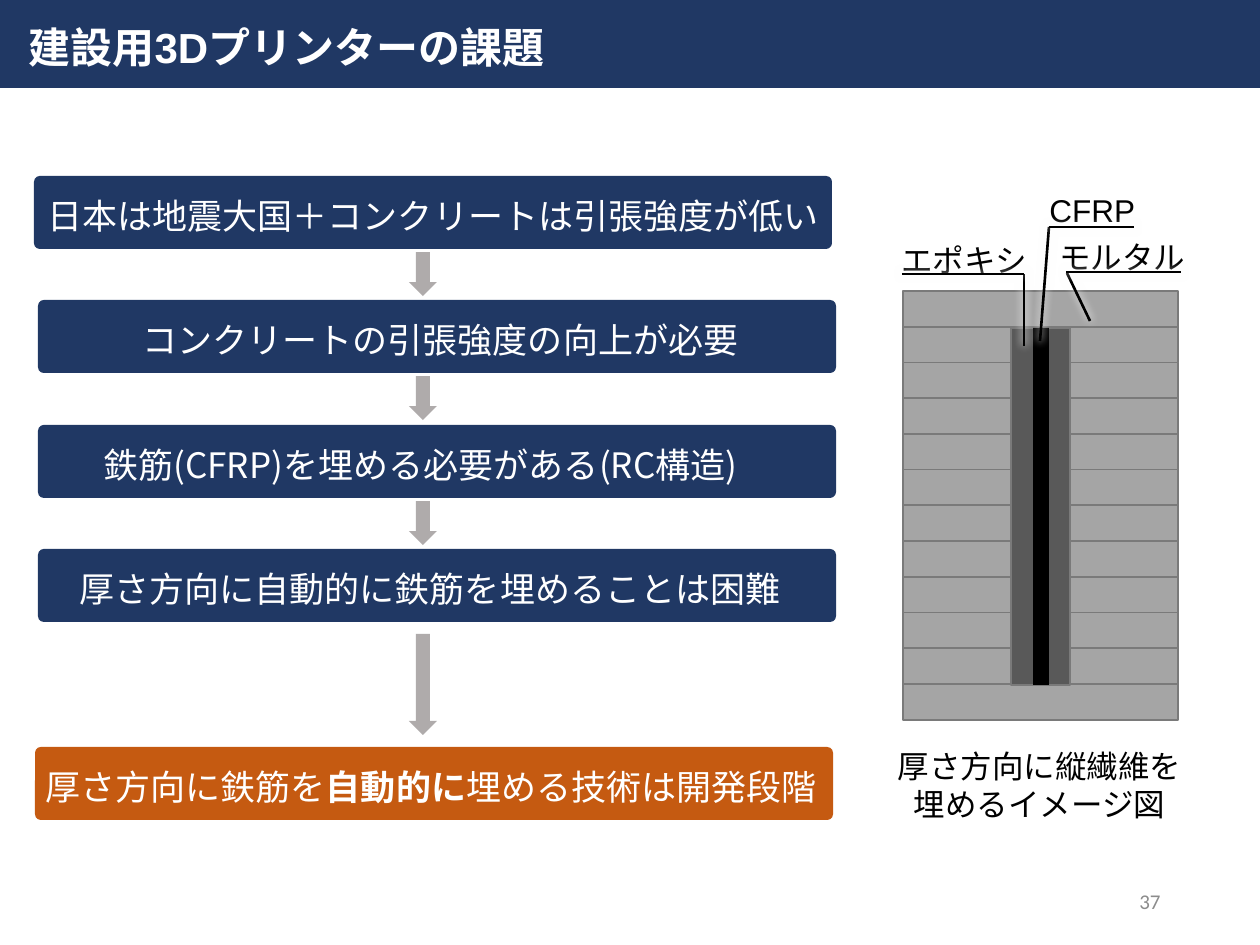
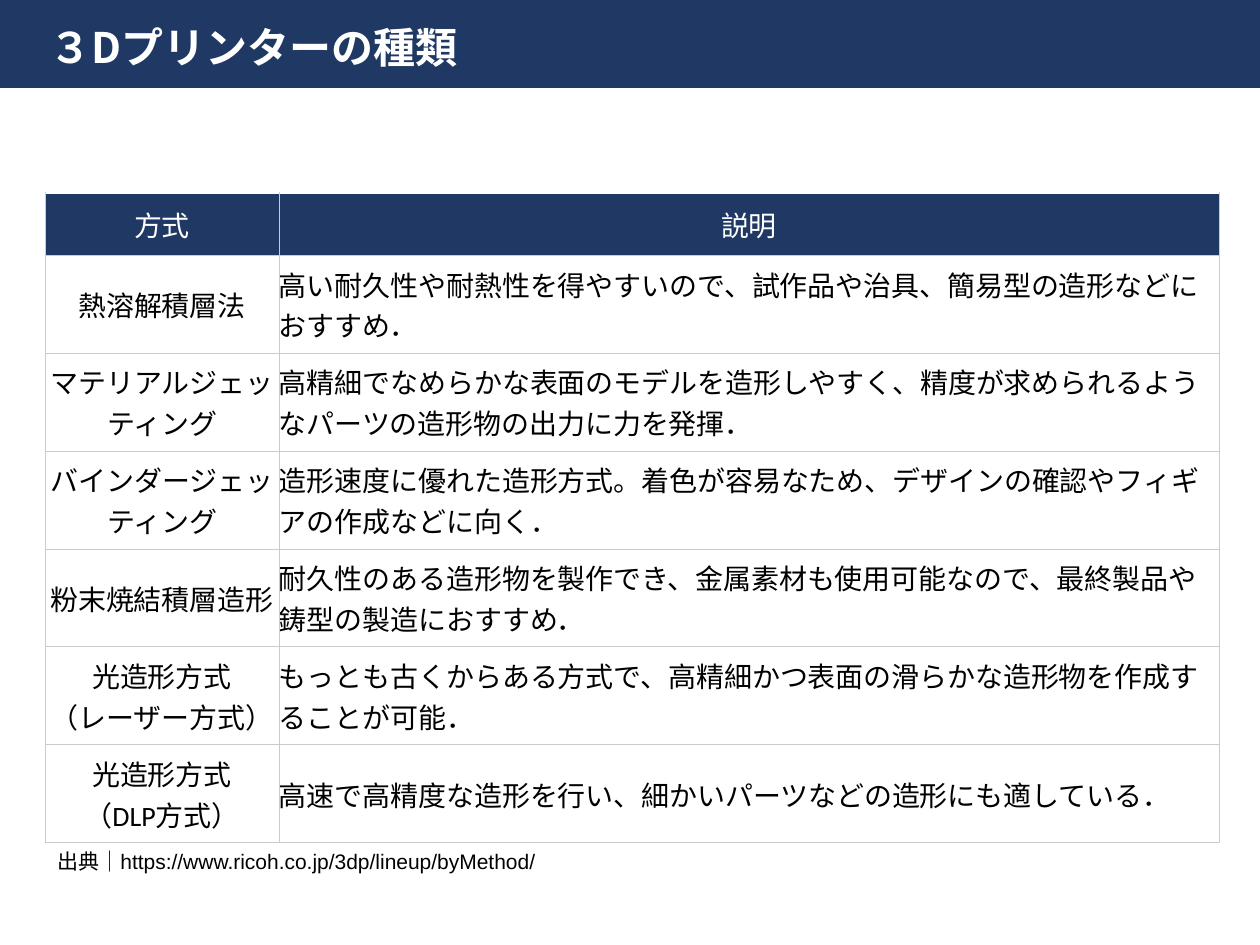
import dataclasses

import lxml.etree
import pptx
import pptx.dml.color
import pptx.enum.shapes
import pptx.enum.text
import pptx.oxml.ns
import pptx.util


@dataclasses.dataclass(frozen=True)
class Theme:
    navy: str = "203864"
    orange: str = "C55A11"
    arrow: str = "AFABAB"
    mortar: str = "A5A5A5"
    epoxy: str = "595959"
    outline: str = "7A7A7A"
    border: str = "CBCBCB"
    page: str = "8C8C8C"
    black: str = "000000"
    white: str = "FFFFFF"
    sans: str = "Arial"
    body: str = "Calibri"
    japanese: str = "Noto Sans CJK JP"
    title_size: int = 24
    step_size: int = 20
    label_size: int = 18
    table_size: int = 16
    small_size: int = 12


theme = Theme()
PX = 914400 / 126
Preset = pptx.enum.shapes.MSO_SHAPE
Align = pptx.enum.text.PP_ALIGN
Anchor = pptx.enum.text.MSO_ANCHOR
qn = pptx.oxml.ns.qn
rgb = pptx.dml.color.RGBColor.from_string


def add_shape(slide, preset, box, fill, outline=None):
    """Add a flat preset shape; box is left, top, width, height in px."""
    shape = slide.shapes.add_shape(preset, *[round(value * PX) for value in box])
    shape.shadow.inherit = False
    shape.fill.solid()
    shape.fill.fore_color.rgb = rgb(fill)
    if outline:
        shape.line.color.rgb = rgb(outline)
        shape.line.width = pptx.util.Pt(1)
    else:
        shape.line.fill.background()
    return shape


def write_text(frame, lines, font, size, color, align=Align.LEFT, bold=False, **frame_format):
    """Write one paragraph per line; text between ** marks is bold."""
    for name, value in {"word_wrap": True, **frame_format}.items():
        setattr(frame, name, value)
    for index, line in enumerate(lines):
        paragraph = frame.add_paragraph() if index else frame.paragraphs[0]
        paragraph.alignment = align
        for position, text in enumerate(line.split("**")):
            run = paragraph.add_run()
            run.text = text
            run.font.color.rgb = rgb(color)
            font_format = {"name": font, "size": pptx.util.Pt(size),
                           "bold": bold or position % 2 == 1}
            for name, value in font_format.items():
                setattr(run.font, name, value)
            lxml.etree.SubElement(run._r.get_or_add_rPr(), qn("a:ea"),
                                  typeface=theme.japanese)


presentation = pptx.Presentation()
presentation.slide_width = round(1260 * PX)
presentation.slide_height = round(945 * PX)

# Title band and title of both slides
titles = [
    ("建設用3Dプリンターの課題", theme.sans, (16, 15, 675, 63), 1.0),
    ("３Dプリンターの種類", theme.japanese, (37, 9, 1147, 82), 0.9),
]
slides = []
for text, font, box, spacing in titles:
    slide = presentation.slides.add_slide(presentation.slide_layouts[5])
    title = slide.shapes.title
    for name, value in zip(("left", "top", "width", "height"), box):
        setattr(title, name, round(value * PX))
    write_text(title.text_frame, [text], font, theme.title_size, theme.white, bold=True,
               vertical_anchor=Anchor.MIDDLE,
               auto_size=pptx.enum.text.MSO_AUTO_SIZE.NONE)
    title.text_frame.paragraphs[0].line_spacing = spacing
    band = add_shape(slide, Preset.RECTANGLE, (0, 0, 1260, 88), theme.navy)
    title.element.addprevious(band.element)
    slides.append(slide)
issues_slide, types_slide = slides

# Chain of reasoning: left, top, fill, then label left, width, height and text
steps = [
    (34, 176, theme.navy, 35, 803, 55, "日本は地震大国＋コンクリートは引張強度が低い"),
    (38, 300, theme.navy, 130, 629, 55, "コンクリートの引張強度の向上が必要"),
    (38, 425, theme.navy, 91, 707, 117, "鉄筋(CFRP)を埋める必要がある(RC構造)"),
    (38, 549, theme.navy, 67, 741, 55, "厚さ方向に自動的に鉄筋を埋めることは困難"),
    (35, 747, theme.orange, 33, 876, 112, "厚さ方向に鉄筋を**自動的に**埋める技術は開発段階"),
]
step_height = 73
for left, top, fill, label_left, label_width, label_height, text in steps:
    step = add_shape(issues_slide, Preset.ROUNDED_RECTANGLE, (left, top, 798, step_height), fill)
    step.adjustments[0] = 0.08
    label_top = top + 3 + (step_height - label_height) / 2
    label = issues_slide.shapes.add_textbox(
        *[round(value * PX) for value in (label_left, label_top, label_width, label_height)])
    write_text(label.text_frame, [text], theme.japanese, theme.step_size, theme.white,
               vertical_anchor=Anchor.MIDDLE, word_wrap=False)

# Arrows between the steps
for top, height in [(252, 44), (376, 44), (501, 44), (634, 101)]:
    add_shape(issues_slide, Preset.DOWN_ARROW, (409, top, 28, height), theme.arrow)

# Cross-section: mortar layers, epoxy and CFRP core
layer_count = 12
for layer in range(layer_count):
    top = 291 + 393 * layer / (layer_count - 1)
    add_shape(issues_slide, Preset.RECTANGLE, (903, top, 275, 36), theme.mortar, theme.outline)
add_shape(issues_slide, Preset.RECTANGLE, (1011, 328, 59, 357), theme.epoxy, theme.outline)
add_shape(issues_slide, Preset.RECTANGLE, (1033, 328, 16, 357), theme.black)

# Material labels, caption and page number
notes = [
    ((1047, 232, 152, 50), ["モルタル"], theme.sans, theme.label_size, theme.black, Align.LEFT),
    ((1037, 185, 112, 50), ["CFRP"], theme.sans, theme.label_size, theme.black, Align.LEFT),
    ((889, 235, 152, 50), ["エポキシ"], theme.sans, theme.label_size, theme.black, Align.LEFT),
    ((853, 741, 373, 89), ["厚さ方向に縦繊維を", "埋めるイメージ図"],
     theme.body, theme.label_size, theme.black, Align.CENTER),
    ((890, 876, 283, 50), ["37"], theme.body, theme.small_size, theme.page, Align.RIGHT),
]
for box, lines, font, size, color, align in notes:
    note = issues_slide.shapes.add_textbox(*[round(value * PX) for value in box])
    write_text(note.text_frame, lines, font, size, color, align,
               vertical_anchor=Anchor.MIDDLE if align == Align.RIGHT else Anchor.TOP)

# Leader lines with a soft white halo
leaders = [
    (1040, 341, 1049, 227), (1049, 227, 1134, 227),
    (1024, 346, 1024, 274), (902, 274, 1024, 274),
    (1090, 321, 1067, 273), (1066, 272, 1181, 272),
]
for ends in leaders:
    leader = issues_slide.shapes.add_connector(
        pptx.enum.shapes.MSO_CONNECTOR.STRAIGHT, *[round(value * PX) for value in ends])
    leader.line.color.rgb = rgb(theme.black)
    leader.line.width = pptx.util.Pt(1.5)
    effects = lxml.etree.SubElement(leader.element.spPr, qn("a:effectLst"))
    halo = lxml.etree.SubElement(effects, qn("a:outerShdw"), blurRad=str(pptx.util.Pt(5)))
    lxml.etree.SubElement(halo, qn("a:srgbClr"), val=theme.white)

# Table of printing methods
methods = [
    ("方式", "説明"),
    ("熱溶解積層法",
     "高い耐久性や耐熱性を得やすいので、試作品や治具、簡易型の造形などにおすすめ．"),
    ("マテリアルジェッティング",
     "高精細でなめらかな表面のモデルを造形しやすく、精度が求められるようなパーツの造形物の出力に力を発揮．"),
    ("バインダージェッティング",
     "造形速度に優れた造形方式。着色が容易なため、デザインの確認やフィギアの作成などに向く．"),
    ("粉末焼結積層造形",
     "耐久性のある造形物を製作でき、金属素材も使用可能なので、最終製品や鋳型の製造におすすめ．"),
    ("光造形方式\n（レーザー方式）",
     "もっとも古くからある方式で、高精細かつ表面の滑らかな造形物を作成することが可能．"),
    ("光造形方式\n（DLP方式）",
     "高速で高精度な造形を行い、細かいパーツなどの造形にも適している．"),
]
table = types_slide.shapes.add_table(
    len(methods), 2, *[round(value * PX) for value in (45, 193, 1174, 650)]).table
table.first_row = table.horz_banding = False
for column, width in zip(table.columns, (234, 940)):
    column.width = round(width * PX)
cell_format = {"margin_left": 0, "margin_right": 0, "margin_top": 0, "margin_bottom": 0,
               "vertical_anchor": Anchor.MIDDLE}
for row_index, texts in enumerate(methods):
    header = row_index == 0
    table.rows[row_index].height = round((62 if header else 98) * PX)
    for column_index, text in enumerate(texts):
        cell = table.cell(row_index, column_index)
        for name, value in cell_format.items():
            setattr(cell, name, value)
        write_text(cell.text_frame, text.split("\n"), theme.body, theme.table_size,
                   theme.white if header else theme.black,
                   Align.CENTER if header or column_index == 0 else Align.LEFT)
        properties = cell._tc.get_or_add_tcPr()
        for side in ("lnL", "lnR", "lnT", "lnB"):
            if header and side == "lnT":
                continue
            border = lxml.etree.SubElement(properties, qn("a:" + side),
                                           w=str(pptx.util.Pt(0.5)))
            paint = lxml.etree.SubElement(border, qn("a:solidFill"))
            lxml.etree.SubElement(paint, qn("a:srgbClr"), val=theme.border)
        cell.fill.solid()
        cell.fill.fore_color.rgb = rgb(theme.navy if header else theme.white)

# Source of the table
source = types_slide.shapes.add_textbox(*[round(value * PX) for value in (45, 842, 949, 38)])
write_text(source.text_frame, ["出典｜https://www.ricoh.co.jp/3dp/lineup/byMethod/"],
           theme.sans, theme.small_size, theme.black)

presentation.save("out.pptx")
